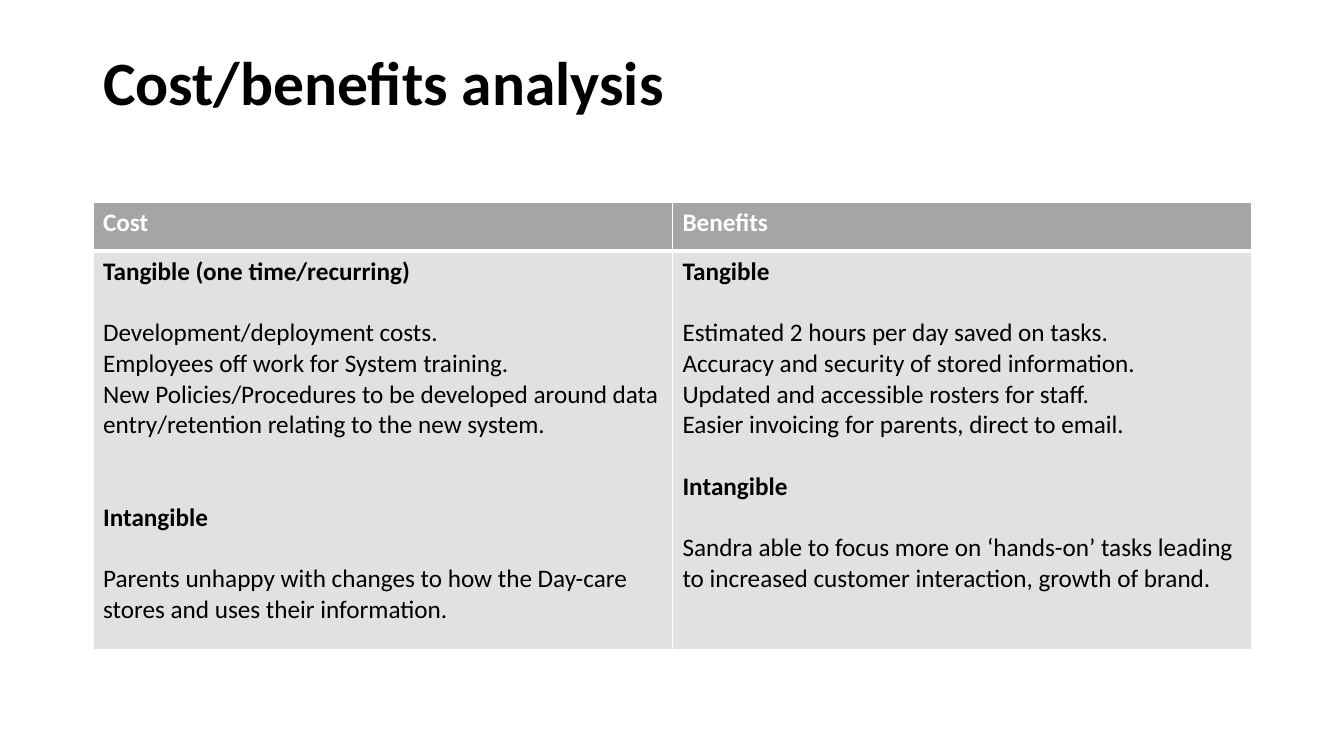
from dataclasses import dataclass

from lxml.etree import SubElement as Sub
from pptx import Presentation as Deck
from pptx.dml.color import RGBColor as Color
from pptx.enum.text import MSO_ANCHOR as Anchor, MSO_AUTO_SIZE as Fit, PP_ALIGN as Align
from pptx.oxml.ns import qn
from pptx.util import Emu, Pt

SCALE = 914400 / 100.8


@dataclass(frozen=True)
class Theme:
    """Colours, font and point sizes of the slide."""
    font: str = "Calibri"
    ink: str = "000000"
    paper: str = "FFFFFF"
    head: str = "A5A5A5"
    body: str = "E1E1E1"
    title: int = 44
    text: int = 18
    line: int = 22
    thin: int = 1
    thick: int = 3


def px(num):
    """Turn pixels into EMU."""
    return Emu(round(num * SCALE))


class Page:
    """Holds the theme and the current slide."""

    def __init__(self, deck, theme):
        """Add a title-only slide."""
        self.theme = theme
        self.slide = deck.slides.add_slide(deck.slide_layouts[5])

    def style(self, para, size, color, bold):
        """Format a paragraph and its runs."""
        para.alignment = Align.LEFT
        for run in para.runs:
            font = run.font
            font.name, font.size, font.bold = self.theme.font, Pt(size), bold
            font.color.rgb = Color.from_string(color)

    def title(self, text, left, top, width, height):
        """Place and format the title."""
        shape = self.slide.shapes.title
        shape.left, shape.top = px(left), px(top)
        shape.width, shape.height = px(width), px(height)
        frame = shape.text_frame
        frame.text = text
        frame.auto_size, frame.vertical_anchor = Fit.NONE, Anchor.MIDDLE
        para = frame.paragraphs[0]
        para.line_spacing = 0.9
        self.style(para, self.theme.title, self.theme.ink, True)

    def edges(self, cell, top, base):
        """Draw the cell borders, with given top and bottom widths."""
        thin = self.theme.thin
        props = cell._tc.get_or_add_tcPr()
        for side, width in zip("LRTB", (thin, thin, top, base)):
            line = Sub(props, qn(f"a:ln{side}"), w=str(Pt(width)))
            Sub(Sub(line, qn("a:solidFill")), qn("a:srgbClr"), val=self.theme.paper)

    def cell(self, cell, items, fill, color, top, base):
        """Fill a cell with (text, bold, blank lines above) items."""
        self.edges(cell, top, base)
        cell.fill.solid()
        cell.fill.fore_color.rgb = Color.from_string(fill)
        frame = cell.text_frame
        frame.text = "\n".join(text for text, _, _ in items)
        for para, (_, bold, gap) in zip(frame.paragraphs, items):
            para.space_before = Pt(gap * self.theme.line)
            self.style(para, self.theme.text, color, bold)

    def table(self, heads, bodies, left, top, width, rows):
        """Add a table with a head row and one body row."""
        look = self.theme
        grid = self.slide.shapes.add_table(
            len(rows), len(heads), px(left), px(top), px(width), px(sum(rows))).table
        for row, height in zip(grid.rows, rows):
            row.height = px(height)
        for col, (head, body) in enumerate(zip(heads, bodies)):
            self.cell(grid.cell(0, col), [(head, True, 0)],
                      look.head, look.paper, look.thin, look.thick)
            self.cell(grid.cell(1, col), body,
                      look.body, look.ink, look.thick, look.thin)


def group(head, lines, gap=0):
    """List a bold heading and its lines, a blank line apart."""
    return [(head, True, gap)] + [
        (line, False, 0 if num else 1) for num, line in enumerate(lines)]


COSTS = group("Tangible (one time/recurring)", [
    "Development/deployment costs.",
    "Employees off work for System training.",
    "New Policies/Procedures to be developed around data entry/retention "
    "relating to the new system.",
]) + group("Intangible", [
    "Parents unhappy with changes to how the Day-care stores and uses "
    "their information.",
], gap=2)

GAINS = group("Tangible", [
    "Estimated 2 hours per day saved on tasks.",
    "Accuracy and security of stored information.",
    "Updated and accessible rosters for staff.",
    "Easier invoicing for parents, direct to email.",
]) + group("Intangible", [
    "Sandra able to focus more on ‘hands-on’ tasks leading to increased "
    "customer interaction, growth of brand.",
], gap=1)

deck = Deck()
deck.slide_width, deck.slide_height = px(1344), px(756)
page = Page(deck, Theme())
page.title("Cost/benefits analysis", 93, 40, 1159, 92)
page.table(["Cost", "Benefits"], [COSTS, GAINS], 93, 202, 1159, [49, 399])
deck.save("out.pptx")
